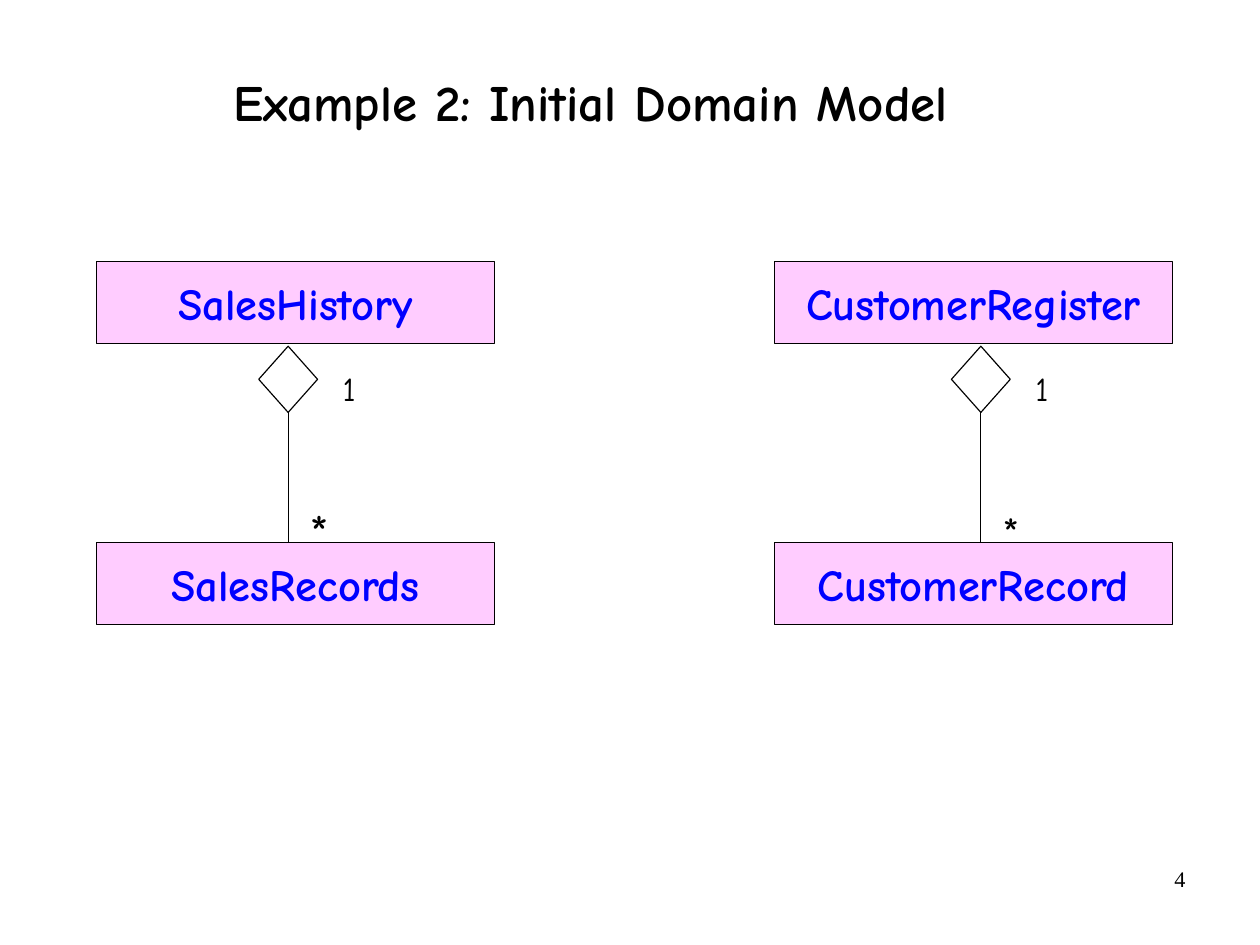
from lxml.etree import SubElement
from pptx import Presentation
from pptx.dml.color import RGBColor
from pptx.enum.shapes import MSO_CONNECTOR, MSO_SHAPE
from pptx.enum.text import MSO_ANCHOR, MSO_AUTO_SIZE, PP_ALIGN
from pptx.oxml.ns import qn
from pptx.util import Cm, Inches, Pt

SLIDE_WIDTH, SLIDE_HEIGHT = Cm(28), Cm(21)
COLORS = {"ink": "000000", "class_fill": "FFCCFF", "class_name": "0000FF"}
HAND, SERIF = "Comic Neue", "Times New Roman"

CLASS_WIDTH, CLASS_HEIGHT = 31.58, 8.71
WHOLE_ROW, PART_ROW = 27.65, 57.4
DIAMOND_ROW, DIAMOND_WIDTH, DIAMOND_HEIGHT = 36.64, 4.67, 7.01


def color(key):
    return RGBColor.from_string(COLORS[key])


def col(percent):
    return round(SLIDE_WIDTH * percent / 100)


def row(percent):
    return round(SLIDE_HEIGHT * percent / 100)


def area(left, top, width, height):
    return col(left), row(top), col(width), row(height)


def write(holder, wording, size, font=HAND, ink="ink", bold=False,
          align=PP_ALIGN.LEFT, anchor=MSO_ANCHOR.TOP, margins=(0.11, 0.06), wrap=True):
    frame = holder.text_frame
    frame.text = wording
    frame.auto_size = MSO_AUTO_SIZE.NONE
    frame.word_wrap = wrap
    frame.vertical_anchor = anchor
    frame.margin_left = frame.margin_right = Inches(margins[0])
    frame.margin_top = frame.margin_bottom = Inches(margins[1])
    paragraph = frame.paragraphs[0]
    paragraph.alignment = align
    paragraph.font.name = font
    paragraph.font.size = Pt(size)
    paragraph.font.bold = bold
    paragraph.font.color.rgb = color(ink)
    return paragraph


def outline(element):
    element.line.color.rgb = color("ink")
    element.line.width = Pt(0.75)


def add_title(slide, wording):
    title = slide.shapes.title
    title.left, title.top, title.width, title.height = area(4.4, 2.42, 85, 17.17)
    paragraph = write(title, wording, 32, bold=True, align=PP_ALIGN.CENTER,
                      anchor=MSO_ANCHOR.MIDDLE, margins=(0.02, 0.06))
    paragraph.line_spacing = 0.94


def add_class(slide, name, left, top):
    box = slide.shapes.add_shape(
        MSO_SHAPE.RECTANGLE, *area(left, top, CLASS_WIDTH, CLASS_HEIGHT))
    box.shadow.inherit = False
    box.fill.solid()
    box.fill.fore_color.rgb = color("class_fill")
    outline(box)
    write(box, name, 28, ink="class_name", bold=True, align=PP_ALIGN.CENTER,
          anchor=MSO_ANCHOR.MIDDLE, margins=(0, 0))


def add_label(slide, wording, size, *place):
    label = slide.shapes.add_textbox(*area(*place))
    write(label, wording, size, wrap=False)


def add_aggregation(slide, axis):
    diamond = slide.shapes.add_shape(
        MSO_SHAPE.DIAMOND,
        *area(axis - DIAMOND_WIDTH / 2, DIAMOND_ROW, DIAMOND_WIDTH, DIAMOND_HEIGHT))
    diamond.shadow.inherit = False
    diamond.fill.background()
    outline(diamond)
    link = slide.shapes.add_connector(
        MSO_CONNECTOR.STRAIGHT, col(axis), row(DIAMOND_ROW + DIAMOND_HEIGHT),
        col(axis), row(PART_ROW))
    link.begin_connect(diamond, 2)
    outline(link)
    SubElement(link._element.spPr, qn("a:effectLst"))


def add_model(slide, whole, part, left, axis, many_size, many_top):
    add_class(slide, whole, left, WHOLE_ROW)
    add_class(slide, part, left, PART_ROW)
    add_aggregation(slide, axis)
    add_label(slide, "1", 21, axis + 3.33, 38.21, 3.09, 5.56)
    add_label(slide, "*", many_size, axis + 0.72, many_top, 3.5, 7.5)


def add_page_number(slide, number):
    page = slide.shapes.add_textbox(*area(71.67, 91, 23.32, 6.89))
    write(page, number, 14, font=SERIF, align=PP_ALIGN.RIGHT, margins=(0.1, 0.05))


def main():
    deck = Presentation()
    deck.slide_width, deck.slide_height = SLIDE_WIDTH, SLIDE_HEIGHT
    slide = deck.slides.add_slide(deck.slide_layouts[5])
    add_title(slide, "Example 2: Initial Domain Model")
    add_model(slide, "SalesHistory", "SalesRecords", 7.68, 22.87, 32, 52.24)
    add_model(slide, "CustomerRegister", "CustomerRecord", 61.47, 77.85, 28, 52.72)
    add_page_number(slide, "4")
    deck.save("out.pptx")


if __name__ == "__main__":
    main()
